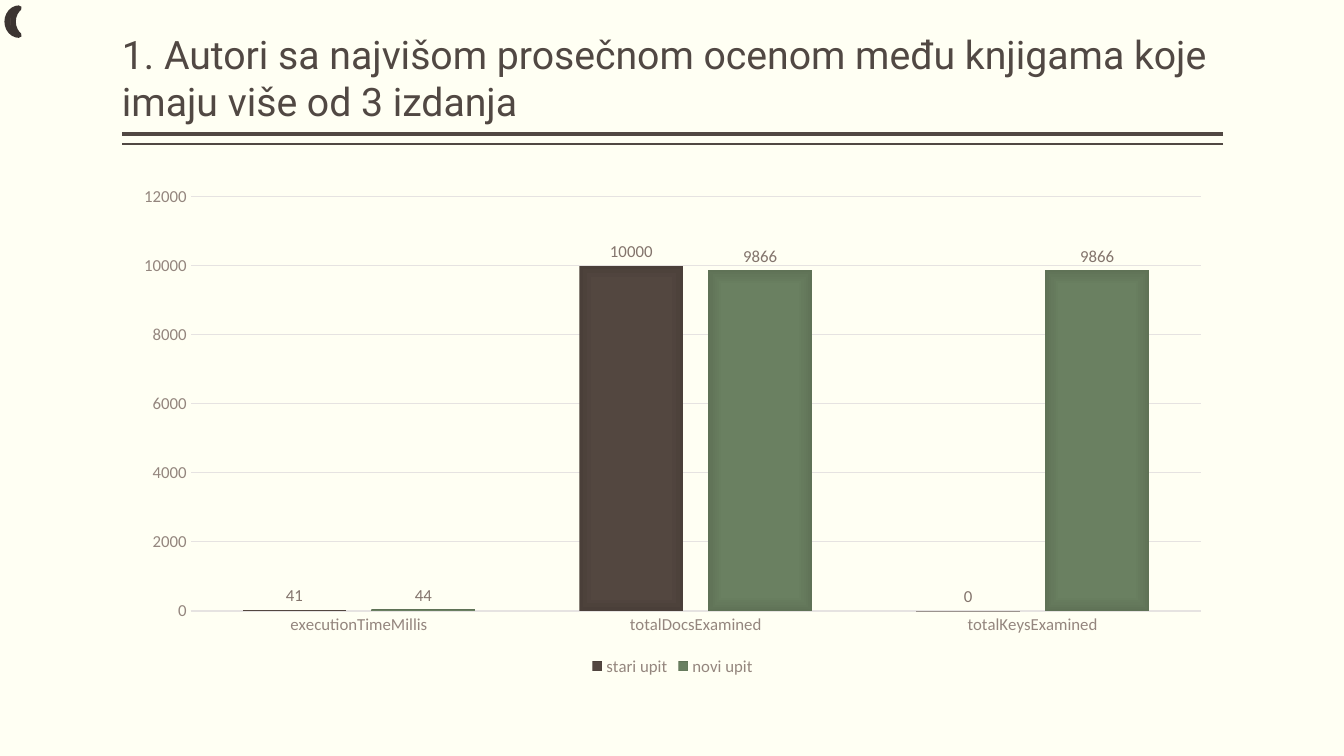
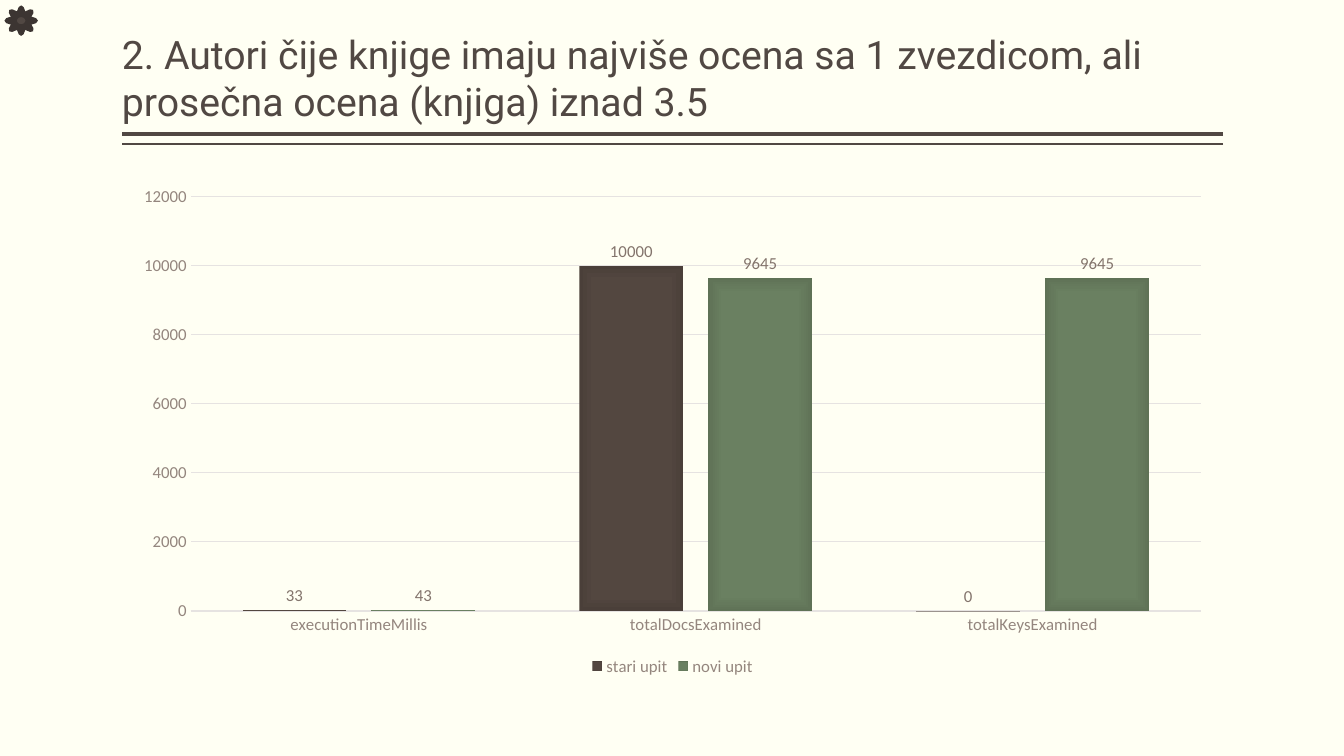
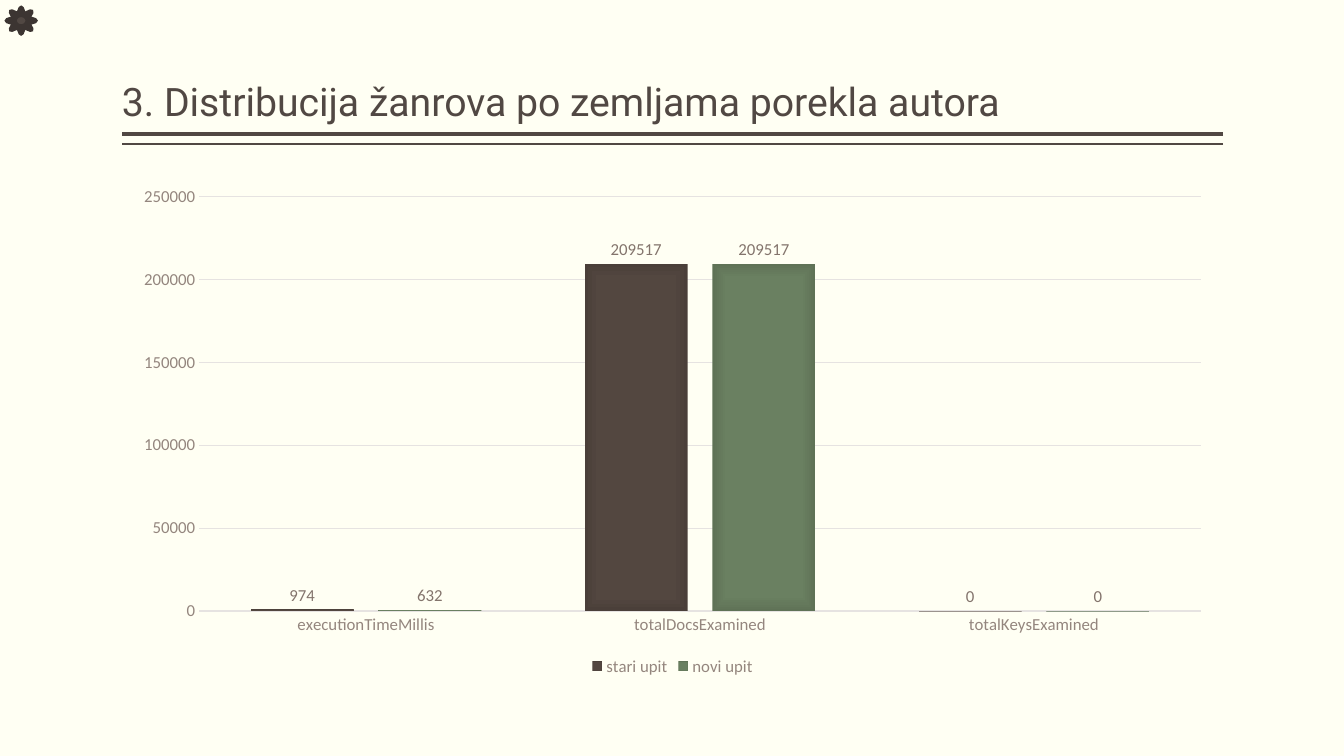
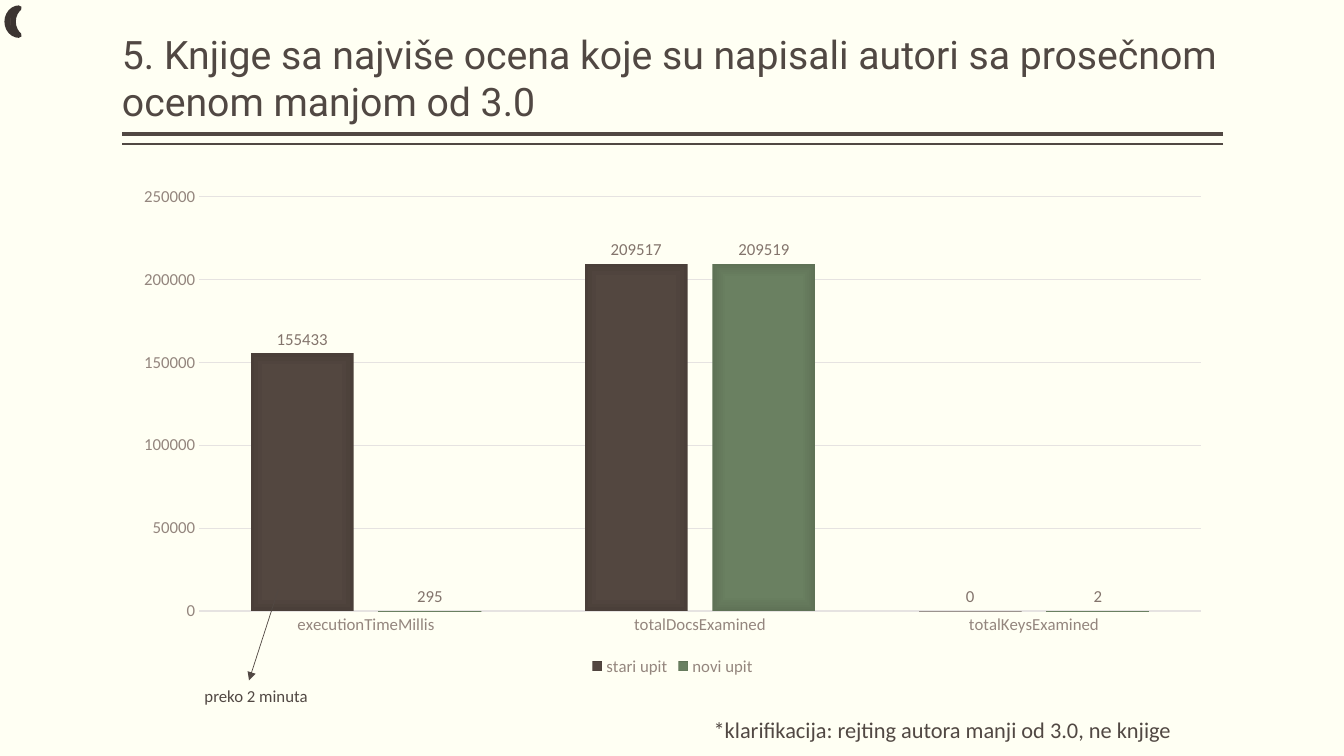
from dataclasses import dataclass

from pptx import Presentation
from pptx.chart.axis import CategoryAxis, ValueAxis
from pptx.chart.data import CategoryChartData
from pptx.chart.series import BarSeries
from pptx.dml.color import RGBColor
from pptx.enum import chart as chart_enum, shapes, text
from pptx.oxml import parse_xml
from pptx.oxml.ns import nsdecls, qn
from pptx.shapes.connector import Connector
from pptx.slide import Slide, SlideLayout
from pptx.text.text import Font
from pptx.util import Inches, Pt


@dataclass(frozen=True)
class Theme:
    background: str = "FFFFF3"
    ink: str = "514843"
    icon_edge: str = "3C3532"
    axis_text: str = "94867E"
    label_text: str = "83746C"
    grid: str = "E6E3E1"
    old_query: tuple[str, str, str] = ("544740", "534740", "4A3F39")
    new_query: tuple[str, str, str] = ("6B8162", "6A8061", "5F7256")
    title_font: str = "Roboto"
    body_font: str = "Calibri"
    title_size: float = 28
    note_size: float = 16
    small_size: float = 12
    chart_size: float = 10


@dataclass(frozen=True)
class Icon:
    preset: shapes.MSO_SHAPE
    width: float
    height: float


@dataclass(frozen=True)
class Comparison:
    title: str
    icon: Icon
    old_values: tuple[int, int, int]
    new_values: tuple[int, int, int]


THEME = Theme()
LEFT, RIGHT = 1.21, 12.13
CONTENT_WIDTH = RIGHT - LEFT
METRICS = ("executionTimeMillis", "totalDocsExamined", "totalKeysExamined")
MOON = Icon(shapes.MSO_SHAPE.MOON, 0.12, 0.27)
SUN = Icon(shapes.MSO_SHAPE.SUN, 0.28, 0.25)

COMPARISONS = (
    Comparison(
        "1. Autori sa najvišom prosečnom ocenom među knjigama koje imaju više od 3 izdanja",
        MOON, (41, 10000, 0), (44, 9866, 9866)),
    Comparison(
        "2. Autori čije knjige imaju najviše ocena sa 1 zvezdicom, ali prosečna ocena (knjiga) iznad 3.5",
        SUN, (33, 10000, 0), (43, 9645, 9645)),
    Comparison(
        "3. Distribucija žanrova po zemljama porekla autora",
        SUN, (974, 209517, 0), (632, 209517, 0)),
    Comparison(
        "5. Knjige sa najviše ocena koje su napisali autori sa prosečnom ocenom manjom od 3.0",
        MOON, (155433, 209517, 0), (295, 209519, 2)),
)


def rgb(value: str) -> RGBColor:
    return RGBColor.from_string(value)


def style_font(font: Font, size: float, color: str, name: str = THEME.body_font) -> None:
    font.name = name
    font.size = Pt(size)
    font.color.rgb = rgb(color)


def prepare_layout(layout: SlideLayout) -> None:
    """Set the background and title frame that every slide inherits."""
    background = layout.slide_master.background.fill
    background.solid()
    background.fore_color.rgb = rgb(THEME.background)
    title = layout.placeholders[0]
    title.left, title.top = Inches(LEFT), Inches(0.08)
    title.width, title.height = Inches(CONTENT_WIDTH), Inches(1.2)
    frame = title.text_frame
    frame.margin_left = frame.margin_right = 0
    frame.margin_top = frame.margin_bottom = Inches(0.05)
    frame.vertical_anchor = text.MSO_ANCHOR.BOTTOM
    frame.auto_size = text.MSO_AUTO_SIZE.NONE


def add_line(slide: Slide, start: tuple[float, float], end: tuple[float, float],
             width: float) -> Connector:
    line = slide.shapes.add_connector(
        shapes.MSO_CONNECTOR.STRAIGHT, *map(Inches, start + end))
    line.line.color.rgb = rgb(THEME.ink)
    line.line.width = Pt(width)
    line._element.spPr.append(parse_xml(f"<a:effectLst {nsdecls('a')}/>"))
    return line


def add_arrow(slide: Slide, start: tuple[float, float], end: tuple[float, float]) -> None:
    arrow = add_line(slide, start, end, 0.5)
    outline = arrow._element.spPr.find(qn("a:ln"))
    outline.append(parse_xml(f'<a:tailEnd {nsdecls("a")} type="triangle"/>'))


def add_heading(slide: Slide, heading: str) -> None:
    """Fill the title and draw the double rule below it."""
    for y, width in ((1.33, 3), (1.43, 1)):
        add_line(slide, (RIGHT, y), (LEFT, y), width)
    title = slide.shapes.title
    title.text_frame.text = heading
    paragraph = title.text_frame.paragraphs[0]
    paragraph.alignment = text.PP_ALIGN.LEFT
    style_font(paragraph.runs[0].font, THEME.title_size, THEME.ink, THEME.title_font)


def add_icon(slide: Slide, icon: Icon) -> None:
    mark = slide.shapes.add_shape(
        icon.preset, Inches(0.07), Inches(0.08), Inches(icon.width), Inches(icon.height))
    mark.shadow.inherit = False
    mark.fill.solid()
    mark.fill.fore_color.rgb = rgb(THEME.ink)
    mark.line.color.rgb = rgb(THEME.icon_edge)
    mark.line.width = Pt(3.78)


def add_note(slide: Slide, note: str, left: float, top: float, width: float,
             height: float, size: float) -> None:
    box = slide.shapes.add_textbox(*map(Inches, (left, top, width, height)))
    frame = box.text_frame
    frame.word_wrap = True
    frame.auto_size = text.MSO_AUTO_SIZE.SHAPE_TO_FIT_TEXT
    frame.text = note
    style_font(frame.paragraphs[0].runs[0].font, size, THEME.ink)


def style_series(series: BarSeries, colors: tuple[str, str, str]) -> None:
    """Shade the bars towards their edges and label them with their values."""
    stops = "".join(
        f'<a:gs pos="{position * 1000}"><a:srgbClr val="{color}"/></a:gs>'
        for position, color in zip((0, 71, 100), colors))
    series._element.get_or_add_spPr().append(parse_xml(
        f'<a:gradFill {nsdecls("a")} rotWithShape="1"><a:gsLst>{stops}</a:gsLst>'
        '<a:path path="rect"><a:fillToRect l="50000" t="50000" r="50000" b="50000"/>'
        "</a:path></a:gradFill>"))
    series.invert_if_negative = False
    labels = series.data_labels
    labels.show_value = True
    labels.position = chart_enum.XL_LABEL_POSITION.OUTSIDE_END
    style_font(labels.font, THEME.small_size, THEME.label_text)


def style_axis(axis: CategoryAxis | ValueAxis) -> None:
    axis.major_tick_mark = axis.minor_tick_mark = chart_enum.XL_TICK_MARK.NONE
    style_font(axis.tick_labels.font, THEME.small_size, THEME.axis_text)


def add_comparison_chart(slide: Slide, comparison: Comparison) -> None:
    data = CategoryChartData()
    data.categories = METRICS
    data.add_series("stari upit", comparison.old_values)
    data.add_series("novi upit", comparison.new_values)
    chart = slide.shapes.add_chart(
        chart_enum.XL_CHART_TYPE.COLUMN_CLUSTERED, Inches(LEFT), Inches(1.75),
        Inches(CONTENT_WIDTH), Inches(5), data).chart
    style_font(chart.font, THEME.chart_size, THEME.ink)
    chart.has_title = False
    chart.has_legend = True
    chart.legend.position = chart_enum.XL_LEGEND_POSITION.BOTTOM
    chart.legend.include_in_layout = False
    style_font(chart.legend.font, THEME.small_size, THEME.axis_text)

    style_axis(chart.category_axis)
    baseline = chart.category_axis.format.line
    baseline.color.rgb = rgb(THEME.grid)
    baseline.width = Pt(1)
    style_axis(chart.value_axis)
    chart.value_axis.format.line.fill.background()
    gridline = chart.value_axis.major_gridlines.format.line
    gridline.color.rgb = rgb(THEME.grid)
    gridline.width = Pt(0.75)

    plot = chart.plots[0]
    plot.gap_width, plot.overlap = 100, -24
    plot.vary_by_categories = False
    for series, colors in zip(plot.series, (THEME.old_query, THEME.new_query)):
        style_series(series, colors)


def main() -> None:
    deck = Presentation()
    deck.slide_width, deck.slide_height = Inches(13.33), Inches(7.5)
    layout = deck.slide_layouts[5]
    prepare_layout(layout)
    for comparison in COMPARISONS:
        slide = deck.slides.add_slide(layout)
        add_heading(slide, comparison.title)
        add_comparison_chart(slide, comparison)
        add_icon(slide, comparison.icon)

    add_note(slide, "*klarifikacija: rejting autora manji od 3.0, ne knjige",
             6.98, 7.06, 5.14, 0.37, THEME.note_size)
    add_note(slide, "preko 2 minuta", 1.93, 6.75, 1.67, 0.3, THEME.small_size)
    add_arrow(slide, (2.76, 5.85), (2.47, 6.75))
    deck.save("out.pptx")


if __name__ == "__main__":
    main()
